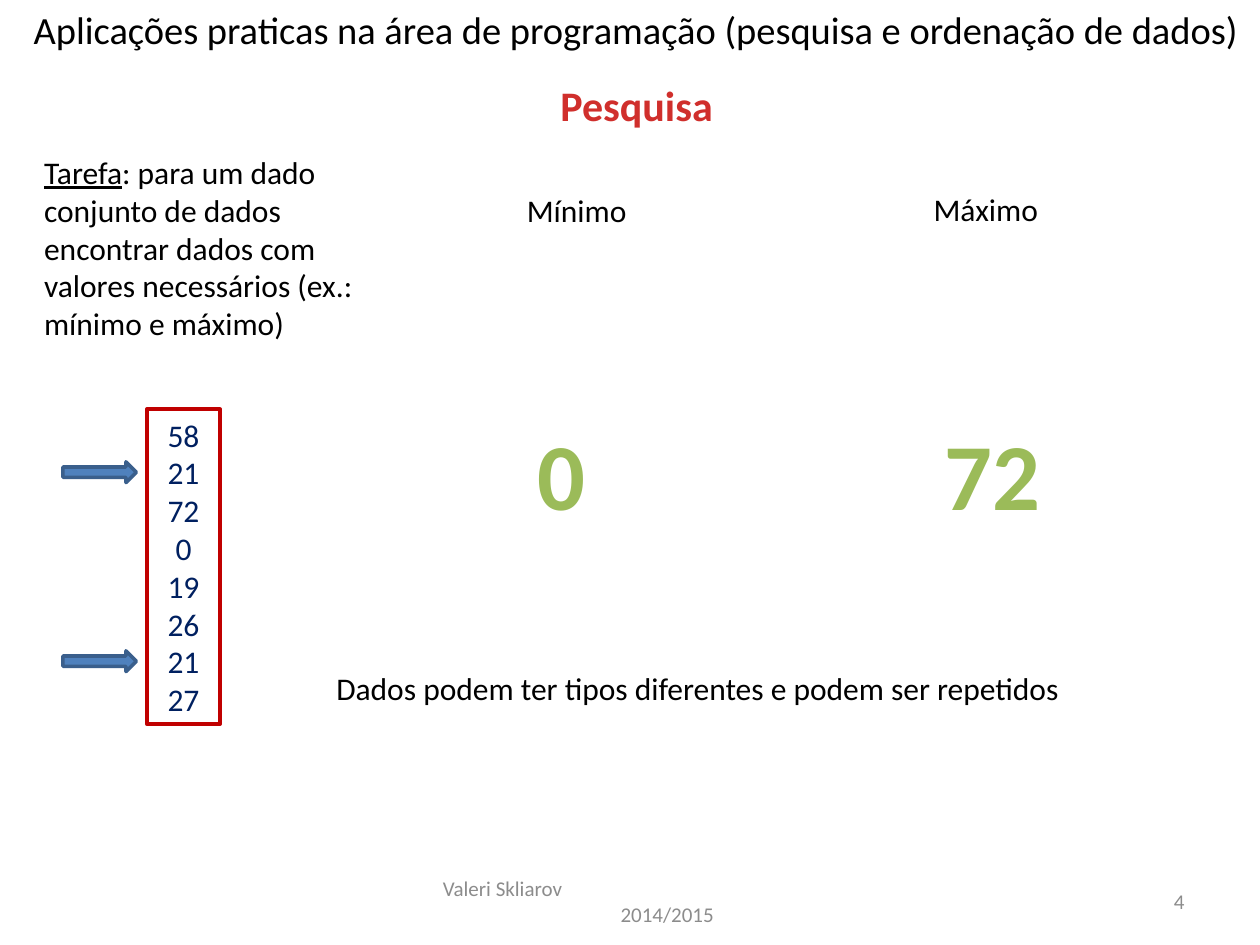
import pptx
import pptx.util
import pptx.dml.color
import pptx.enum.shapes
import pptx.enum.text

Cm, Pt = pptx.util.Cm, pptx.util.Pt
Align = pptx.enum.text.PP_ALIGN
Anchor = pptx.enum.text.MSO_ANCHOR
Fit = pptx.enum.text.MSO_AUTO_SIZE
Kind = pptx.enum.shapes.MSO_SHAPE

COLORS = {
    "black": "000000", "white": "FFFFFF", "gray": "8C8C8C",
    "red": "D02F2C", "frame": "C00000", "navy": "002060",
    "green": "9BBB59", "blue": "4F81BD", "edge": "3A5F8C",
}


def color(name):
    return pptx.dml.color.RGBColor.from_string(COLORS[name])


def write(frame, text, size=18, ink="black", bold=False, align=Align.LEFT, under=""):
    for i, line in enumerate(text.split("\n")):
        para = frame.paragraphs[0] if i == 0 else frame.add_paragraph()
        para.alignment = align
        for part, mark in ((under, True), (line, False)):
            if part:
                run = para.add_run()
                run.text = part
                font = run.font
                font.name, font.size, font.bold = "Calibri", Pt(size), bold
                font.underline = mark
                font.color.rgb = color(ink)


class Deck:
    font = "Calibri"

    def __init__(self, wide, high):
        self.file = pptx.Presentation()
        self.file.slide_width, self.file.slide_height = Cm(wide), Cm(high)
        self.slide = self.file.slides.add_slide(self.file.slide_layouts[6])

    def label(self, box, text, wrap=False, grow=True, **style):
        frame = self.slide.shapes.add_textbox(*map(Cm, box)).text_frame
        frame.word_wrap = wrap
        frame.auto_size = Fit.SHAPE_TO_FIT_TEXT if grow else Fit.NONE
        frame.vertical_anchor = Anchor.TOP if grow else Anchor.MIDDLE
        write(frame, text, **style)
        return frame

    def shape(self, kind, box, fill, line):
        item = self.slide.shapes.add_shape(kind, *map(Cm, box))
        item.shadow.inherit = False
        item.fill.solid()
        item.fill.fore_color.rgb = color(fill)
        item.line.color.rgb = color(line)
        item.line.width = Pt(2)
        return item

    def list(self, box, values, **style):
        frame = self.shape(Kind.RECTANGLE, box, "white", "frame").text_frame
        frame.vertical_anchor = Anchor.MIDDLE
        write(frame, "\n".join(map(str, values)), align=Align.CENTER, **style)

    def arrow(self, left, top):
        self.shape(Kind.RIGHT_ARROW, (left, top, 1.48, 0.42), "blue", "edge")


def main():
    deck = Deck(25.4, 19.05)

    foot = deck.label((8.68, 17.66, 8.04, 1.01), "Valeri Skliarov\n2014/2015",
                      wrap=True, grow=False, size=12, ink="gray")
    foot.paragraphs[1]._p.get_or_add_pPr().set("marL", str(Cm(3.58)))
    deck.label((18.2, 17.66, 5.93, 1.01), "4", wrap=True, grow=False,
               size=12, ink="gray", align=Align.RIGHT)

    deck.label((0.3, 0, 25.04, 1.2),
               "Aplicações praticas na área de programação (pesquisa e ordenação de dados)",
               size=22, align=Align.CENTER)
    deck.label((11.02, 1.48, 3.63, 1.28), "Pesquisa",
               size=24, ink="red", bold=True, align=Align.CENTER)
    deck.label((0.64, 2.96, 7.2, 4.11),
               ": para um dado conjunto de dados encontrar dados com "
               "valores necessários (ex.: mínimo e máximo)",
               wrap=True, under="Tarefa")

    data = [58, 21, 72, 0, 19, 26, 21, 27]
    deck.list((2.96, 8.25, 1.48, 6.35), data, ink="navy")
    for top in (9.31, 13.12):
        deck.arrow(1.27, top)

    deck.label((10.37, 3.73, 2.54, 1.03), "Mínimo")
    deck.label((18.57, 3.7, 2.65, 1.03), "Máximo")
    for left, wide, value in ((10.57, 1.5, min(data)), (18.77, 2.46, max(data))):
        deck.label((left, 8.27, wide, 2.56), str(value),
                   size=54, ink="green", bold=True, align=Align.CENTER)

    deck.label((6.53, 13.36, 15.27, 1.03),
               "Dados podem ter tipos diferentes e podem ser repetidos")
    deck.file.save("out.pptx")


if __name__ == "__main__":
    main()
